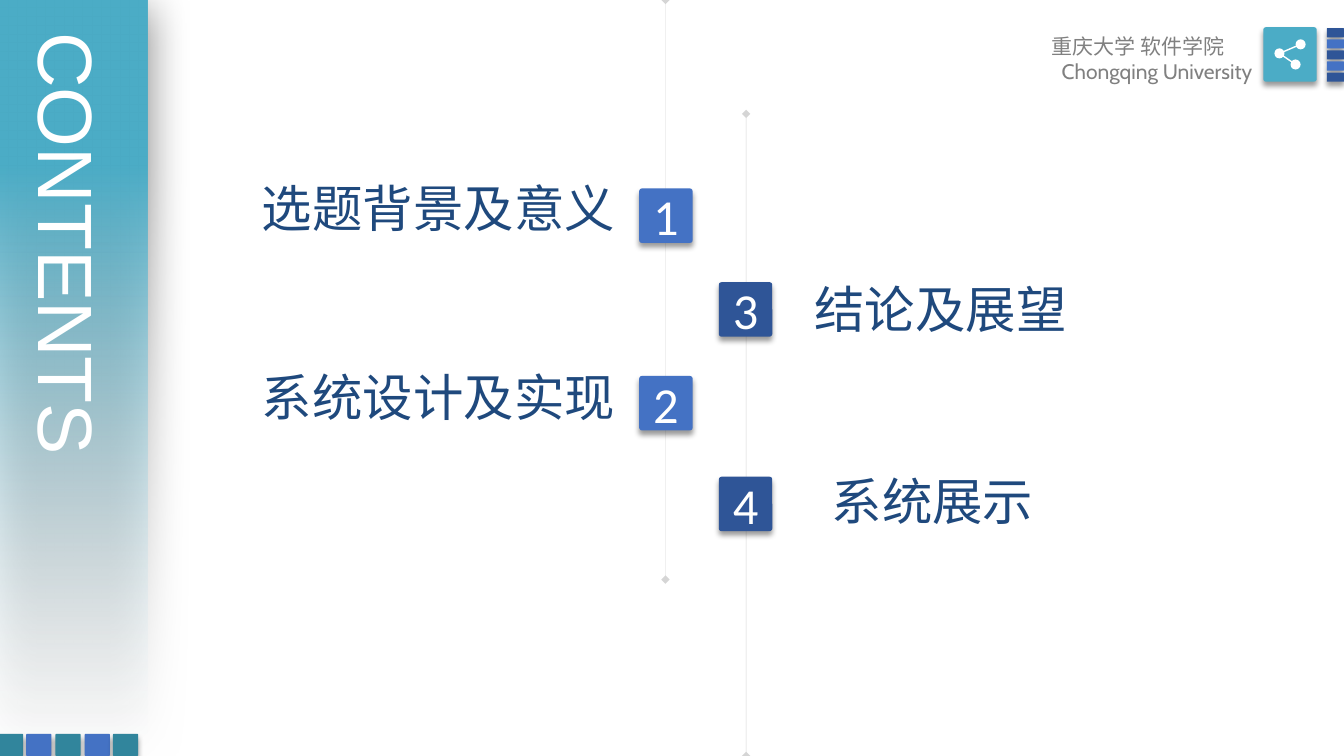
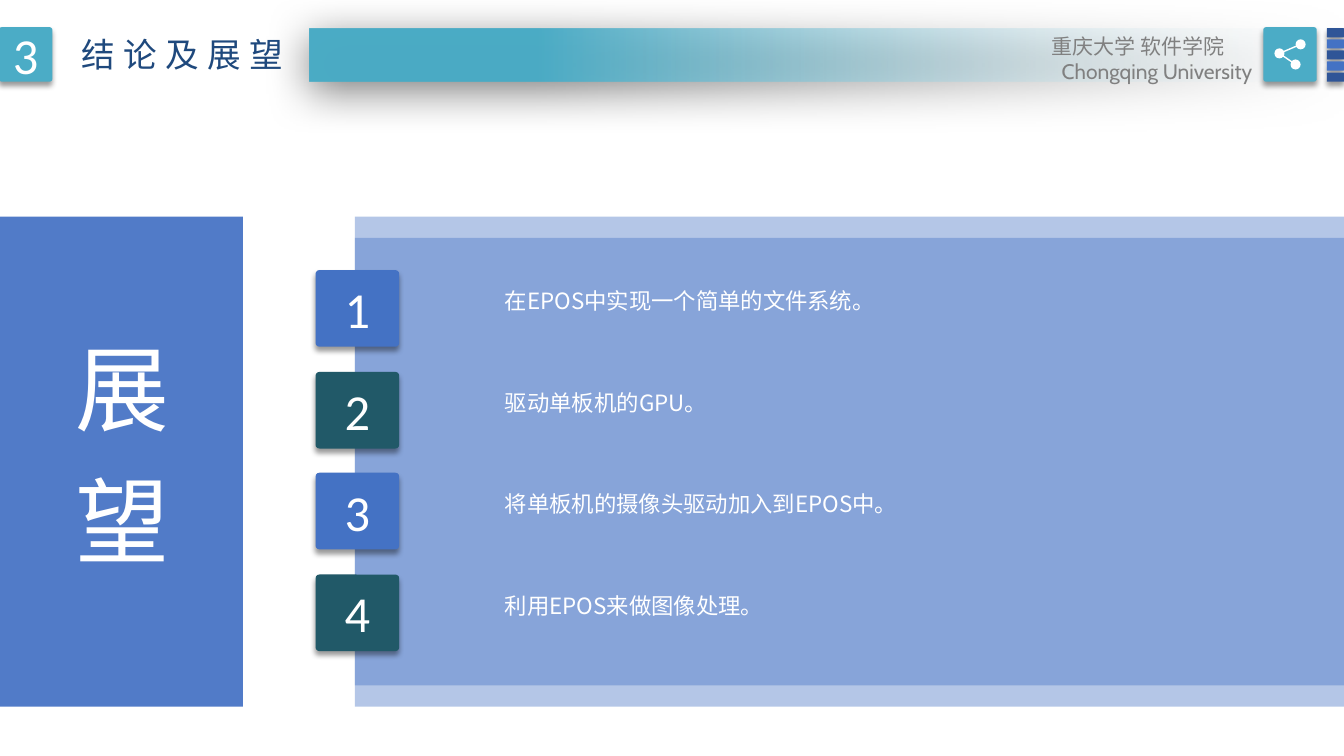
from lxml import etree
from pptx import Presentation
from pptx import util as u
from pptx.dml import color
from pptx.enum import shapes, text
from pptx.oxml import ns

PX = 9144
BLUE, NAVY, TEAL, DEEP, SEA = "4472C4", "2F5597", "4BACC6", "215968", "31859C"
INK, GREY, WHITE, PALE = "1F497D", "808080", "FFFFFF", "F6F9FC"
HAN, NUM = "Noto Sans CJK SC", "Calibri"
SOFT, WIDE = (40, 4, 3, 90), (50, 31, 6, 97)
RECT, ROUND = shapes.MSO_SHAPE.RECTANGLE, shapes.MSO_SHAPE.ROUNDED_RECTANGLE
OVAL, LINE = shapes.MSO_SHAPE.OVAL, shapes.MSO_CONNECTOR.STRAIGHT
LEFT, MID, RIGHT = text.PP_ALIGN.LEFT, text.PP_ALIGN.CENTER, text.PP_ALIGN.RIGHT
tint = color.RGBColor.from_string
sub, qn = etree.SubElement, ns.qn


def block(page, at, fill, kind=ROUND, shade=SOFT, alpha=None):
    item = page.shapes.add_shape(kind, *[v * PX for v in at])
    item.shadow.inherit = False
    item.line.fill.background()
    if kind == ROUND:
        item.adjustments[0] = 0.05
    if fill == "fade":
        item.fill.gradient()
        item.fill.gradient_angle = 180
        for stop, hue, spot in zip(item.fill.gradient_stops, (PALE, TEAL), (0, 0.78)):
            stop.color.rgb = tint(hue)
            stop.position = spot
        alpha = 0
    else:
        item.fill.solid()
        item.fill.fore_color.rgb = tint(fill)
    if alpha is not None:
        hue = next(item._element.spPr.iter(qn("a:srgbClr")))
        sub(hue, qn("a:alpha"), val=str(alpha * 1000))
    if shade:
        dark, blur, dist, turn = shade
        cast = sub(item._element.spPr.find(qn("a:effectLst")), qn("a:outerShdw"),
                   blurRad=str(blur * 12700), dist=str(dist * 12700),
                   dir=str(turn * 60000), rotWithShape="0")
        hue = sub(cast, qn("a:srgbClr"), val="000000")
        sub(hue, qn("a:alpha"), val=str(dark * 1000))
    return item


def write(item, words, size, hue, face=HAN, align=LEFT, wrap=True, vert=None, gap=None):
    frame = item.text_frame
    frame.text = words
    frame.word_wrap = wrap
    if align == MID:
        frame.vertical_anchor = text.MSO_ANCHOR.MIDDLE
    else:
        frame.auto_size = text.MSO_AUTO_SIZE.SHAPE_TO_FIT_TEXT
    if vert:
        frame._txBody.bodyPr.set("vert", vert)
    for para in frame.paragraphs:
        para.alignment = align
        for run in para.runs:
            run.font.size = u.Pt(size)
            run.font.color.rgb = tint(hue)
            run.font.name = face
            mark = run._r.get_or_add_rPr()
            sub(mark, qn("a:ea"), typeface=face)
            if gap:
                mark.set("spc", str(gap * 100))
    return frame


deck = Presentation()
deck.slide_width, deck.slide_height = u.Inches(13.33), u.Inches(7.5)
blank = deck.slide_layouts[6]

page = deck.slides.add_slide(blank)
for x, top, end in ((740, 113, 750), (660, 0, 575)):
    rule = page.shapes.add_connector(LINE, x * PX, top * PX, x * PX, end * PX)
    rule.line.width = u.Pt(0.25)
    rule.line.color.rgb = tint(GREY)
    stroke = rule.line._get_or_add_ln()
    sub(next(stroke.iter(qn("a:srgbClr"))), qn("a:alpha"), val="33000")
    for tip in ("a:headEnd", "a:tailEnd"):
        sub(stroke, qn(tip), type="diamond")
    sub(rule._element.spPr, qn("a:effectLst"))

band = block(page, (-300, 299, 746, 147), "fade", RECT, WIDE)
band.rotation = 90
for i in range(5):
    block(page, (round(-2 + 28.5 * i), 728, 25, 22), (SEA, BLUE)[i % 2])
box = page.shapes.add_textbox(7 * PX, 22 * PX, 113 * PX, 494 * PX)
write(box, "CONTENTS", 55, WHITE, "Arial", vert="eaVert")

topics = (
    ("1", 634, 187, BLUE, "选题背景及意义", 250, 171, 374),
    ("2", 634, 373, BLUE, "系统设计及实现", 250, 358, 374),
    ("3", 713, 280, NAVY, "结论及展望", 798, 271, 273),
    ("4", 713, 473, NAVY, "系统展示", 815, 461, 222),
)
for num, x, y, fill, words, left, top, wide in topics:
    write(block(page, (x, y, 53, 54), fill), num, 36, WHITE, NUM, MID)
    box = page.shapes.add_textbox(left * PX, top * PX, wide * PX, 71 * PX)
    write(box, words, 36, INK, wrap=False)

page = deck.slides.add_slide(blank)
for y in (236, 215):
    block(page, (352, y, 981, 465), BLUE, RECT, None, 40)
plans = (
    "在EPOS中实现一个简单的文件系统。",
    "驱动单板机的GPU。",
    "将单板机的摄像头驱动加入到EPOS中。",
    "利用EPOS来做图像处理。",
)
for i, words in enumerate(plans):
    y = round(268 + 100.6 * i)
    tile = block(page, (313, y, 83, 76), (BLUE, DEEP)[i % 2])
    write(tile, str(i + 1), 36, WHITE, NUM, MID)
    box = page.shapes.add_textbox(491 * PX, (y + 4) * PX, 780 * PX, 42 * PX)
    write(box, words, 16, WHITE).paragraphs[0].line_spacing = 1.3

block(page, (-1, 215, 242, 486), BLUE, RECT, None, 93)
box = page.shapes.add_textbox(46 * PX, 329 * PX, 133 * PX, 251 * PX)
write(box, "展 望", 67, WHITE, wrap=False, vert="eaVert", gap=6)
block(page, (307, 28, 1026, 53), "fade", RECT, WIDE)
write(block(page, (-1, 27, 53, 54), TEAL), "3", 36, WHITE, NUM, MID)
box = page.shapes.add_textbox(71 * PX, 29 * PX, 231 * PX, 50 * PX)
write(box, "结论及展望", 24, INK, wrap=False, gap=6)

for page in deck.slides:
    for i in range(5):
        block(page, (1316, 28 + 11 * i, 17, 9), (NAVY, BLUE)[i % 2])
    block(page, (1253, 27, 53, 54), TEAL)
    dots = ((1269, 53), (1290, 44), (1285, 64))
    for x, y in dots:
        block(page, (x - 5, y - 5, 10, 10), WHITE, OVAL, None)
    for x, y in dots[1:]:
        link = page.shapes.add_connector(LINE, *[v * PX for v in (*dots[0], x, y)])
        link.line.width = u.Pt(1)
        link.line.color.rgb = tint(WHITE)
        sub(link._element.spPr, qn("a:effectLst"))
    box = page.shapes.add_textbox(1015 * PX, 28 * PX, 237 * PX, 63 * PX)
    frame = write(box, "重庆大学 软件学院\nChongqing University", 15, GREY, align=RIGHT)
    school, campus = frame.paragraphs
    school.alignment = LEFT
    school._p.get_or_add_pPr().set("marL", str(18 * PX))
    campus.runs[0].font.name = "Cabin"

deck.save("out.pptx")
